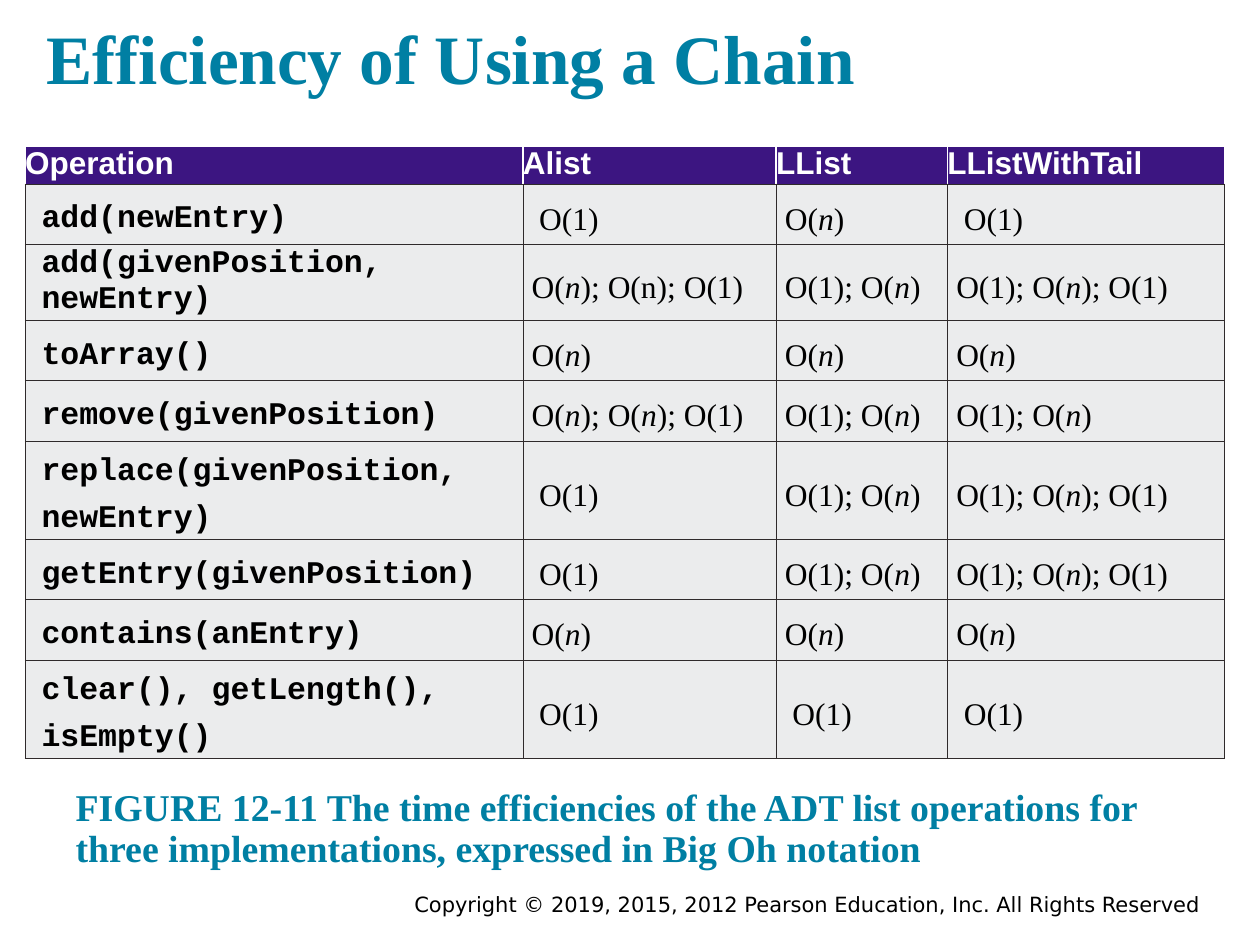
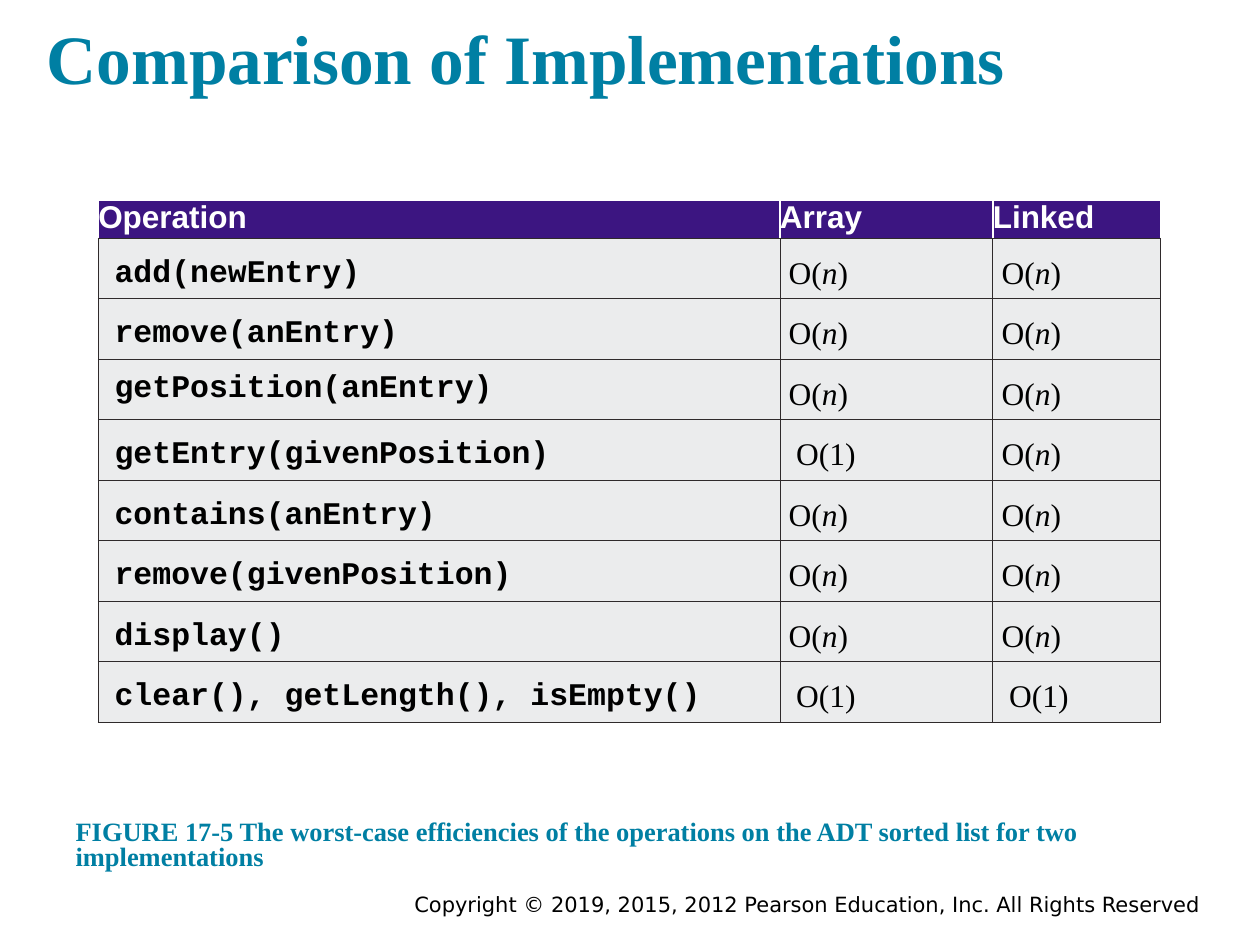
from dataclasses import dataclass

from pptx import Presentation
from pptx.dml.color import RGBColor
from pptx.enum.text import MSO_ANCHOR as Anchor, MSO_AUTO_SIZE as AutoSize, PP_ALIGN as Align
from pptx.oxml.ns import qn
from pptx.slide import Slide
from pptx.util import Inches, Pt
from lxml.etree import SubElement

TEAL = RGBColor(0x00, 0x7F, 0xA3)
PURPLE = RGBColor(0x3C, 0x15, 0x81)
GREY = RGBColor(0xEB, 0xEC, 0xED)
RULE = RGBColor(0x2F, 0x2A, 0x2B)
WHITE = RGBColor(0xFF, 0xFF, 0xFF)
BLACK = RGBColor(0x00, 0x00, 0x00)

SERIF, SANS, CODE, FOOTER = "Times New Roman", "Arial", "Courier New", "DejaVu Sans"
SLIDE_W, SLIDE_H = Inches(10), Inches(7.5)
GRID_COLUMNS = 100
HEADER_ROWS, BODY_ROWS = 2.8, 4.8
COPYRIGHT = "Copyright © 2019, 2015, 2012 Pearson Education, Inc. All Rights Reserved"


@dataclass(frozen=True)
class Box:
    left: float
    top: float
    width: float
    height: float


@dataclass(frozen=True)
class Operation:
    name: str
    costs: tuple[str, ...]
    spacing: float = 1.3


@dataclass(frozen=True)
class Caption:
    text: str
    box: Box
    size: float
    spacing: float


@dataclass(frozen=True)
class EfficiencySlide:
    title: str
    caption: Caption
    left: float
    top: float
    columns: tuple[float, ...]
    headers: tuple[str, ...]
    operations: tuple[Operation, ...]


TITLE_BOX = Box(2.7, 0, 93.1, 8.8)
FOOTER_BOX = Box(17.5, 70.3, 78.3, 3.1)

CONST = "O(1)"
LINEAR = "O(*n*)"
EITHER = "O(1); O(*n*)"
ENDS = "O(1); O(*n*); O(1)"

SLIDES = (
    EfficiencySlide(
        "Efficiency of Using a Chain",
        Caption("FIGURE 12-11 The time efficiencies of the ADT list operations for "
                "three implementations, expressed in Big Oh notation",
                Box(5, 61.3, 93.1, 8.8), 21.6, 0.9),
        2, 11.6, (39.5, 20.1, 13.6, 22),
        ("Operation", "Alist", "LList", "LListWithTail"),
        (
            Operation("add(newEntry)", (CONST, LINEAR, CONST)),
            Operation("add(givenPosition, newEntry)",
                      ("O(*n*); O(n); O(1)", EITHER, ENDS), spacing=1),
            Operation("toArray()", (LINEAR, LINEAR, LINEAR)),
            Operation("remove(givenPosition)", ("O(*n*); O(*n*); O(1)", EITHER, EITHER)),
            Operation("replace(givenPosition, newEntry)", (CONST, EITHER, ENDS)),
            Operation("getEntry(givenPosition)", (CONST, EITHER, ENDS)),
            Operation("contains(anEntry)", (LINEAR, LINEAR, LINEAR)),
            Operation("clear(), getLength(), isEmpty()", (CONST, CONST, CONST)),
        ),
    ),
    EfficiencySlide(
        "Comparison of Implementations",
        Caption("FIGURE 17-5 The worst-case efficiencies of the operations on the "
                "ADT sorted list for two implementations",
                Box(5, 63.8, 90, 6.4), 15.1, 0.8),
        7.8, 15.9, (54.1, 16.9, 13.3),
        ("Operation", "Array", "Linked"),
        (
            Operation("add(newEntry)", (LINEAR, LINEAR)),
            Operation("remove(anEntry)", (LINEAR, LINEAR)),
            Operation("getPosition(anEntry)", (LINEAR, LINEAR), spacing=1),
            Operation("getEntry(givenPosition)", (CONST, LINEAR)),
            Operation("contains(anEntry)", (LINEAR, LINEAR)),
            Operation("remove(givenPosition)", (LINEAR, LINEAR)),
            Operation("display()", (LINEAR, LINEAR)),
            Operation("clear(), getLength(), isEmpty()", (CONST, CONST)),
        ),
    ),
)


def grid(n: float) -> int:
    return round(n * SLIDE_W / GRID_COLUMNS)


def write(tf, text: str, *, font: str, size: float, color: RGBColor, bold: bool = False,
          align=Align.LEFT, spacing: float = 1, indent: float = 0) -> None:
    p = tf.paragraphs[0]
    pPr = p._p.get_or_add_pPr()
    pPr.set("marL", str(grid(indent)))
    pPr.set("indent", "0")
    SubElement(pPr, qn("a:buNone"))
    p.alignment, p.line_spacing, p.space_before = align, spacing, Pt(0)
    for i, part in enumerate(text.split("*")):
        r = p.add_run()
        r.text = part
        r.font.name, r.font.size, r.font.bold = font, Pt(size), bold
        r.font.italic = i % 2 == 1
        r.font.color.rgb = color


def place(sp, box: Box, margin: float, anchor, auto_size):
    sp.left, sp.top = grid(box.left), grid(box.top)
    sp.width, sp.height = grid(box.width), grid(box.height)
    tf = sp.text_frame
    tf.word_wrap, tf.auto_size, tf.vertical_anchor = True, auto_size, anchor
    tf.margin_left = tf.margin_right = tf.margin_top = tf.margin_bottom = grid(margin)
    return tf


def set_borders(cell, top_sides: RGBColor, width: float) -> None:
    tcPr = cell._tc.get_or_add_tcPr()
    for side in "LRTB":
        color, points = (RULE, 0.5) if side == "B" else (top_sides, width)
        ln = SubElement(tcPr, qn(f"a:ln{side}"), w=str(Pt(points)))
        fill = SubElement(ln, qn("a:solidFill"))
        SubElement(fill, qn("a:srgbClr"), val=str(color))


def style_cell(cell, fill: RGBColor, margin: float, anchor, line: RGBColor, width: float) -> None:
    cell.margin_left = cell.margin_right = grid(margin)
    cell.margin_top = cell.margin_bottom = 0
    cell.vertical_anchor = anchor
    set_borders(cell, line, width)
    cell.fill.solid()
    cell.fill.fore_color.rgb = fill


def add_efficiency_table(s: Slide, data: EfficiencySlide) -> None:
    count = len(data.operations)
    table = s.shapes.add_table(
        count + 1, len(data.columns), grid(data.left), grid(data.top),
        grid(sum(data.columns)), grid(HEADER_ROWS + count * BODY_ROWS)).table
    table.first_row = table.horz_banding = False
    for column, width in zip(table.columns, data.columns):
        column.width = grid(width)
    for i, row in enumerate(table.rows):
        row.height = grid(BODY_ROWS if i else HEADER_ROWS)

    for cell, header in zip(table.rows[0].cells, data.headers):
        style_cell(cell, PURPLE, 0, Anchor.TOP, WHITE, 1)
        write(cell.text_frame, header, font=SANS, size=18, color=WHITE, bold=True)
    for i, op in enumerate(data.operations, 1):
        for j, text in enumerate((op.name, *op.costs)):
            cell, is_name = table.cell(i, j), j == 0
            style_cell(cell, GREY, 0.7, Anchor.MIDDLE, RULE, 0.5)
            write(cell.text_frame, text, font=CODE if is_name else SERIF, size=18,
                  color=BLACK, bold=is_name, spacing=op.spacing if is_name else 1.3,
                  indent=0.6 if is_name or text == CONST else 0)


def add_efficiency_slide(prs, data: EfficiencySlide) -> None:
    s = prs.slides.add_slide(prs.slide_layouts[1])
    footer = s.shapes.add_textbox(0, 0, 0, 0)
    tf = place(footer, FOOTER_BOX, 0.5, Anchor.TOP, AutoSize.SHAPE_TO_FIT_TEXT)
    write(tf, COPYRIGHT, font=FOOTER, size=12, color=BLACK, align=Align.RIGHT)

    tf = place(s.shapes.title, TITLE_BOX, 1, Anchor.BOTTOM, AutoSize.NONE)
    write(tf, data.title, font=SERIF, size=39.6, color=TEAL, bold=True)

    caption = data.caption
    tf = place(s.placeholders[1], caption.box, 1, Anchor.BOTTOM, AutoSize.NONE)
    write(tf, caption.text, font=SERIF, size=caption.size, color=TEAL, bold=True,
          spacing=caption.spacing)
    add_efficiency_table(s, data)


def main() -> None:
    prs = Presentation()
    prs.slide_width, prs.slide_height = SLIDE_W, SLIDE_H
    for data in SLIDES:
        add_efficiency_slide(prs, data)
    prs.save("out.pptx")


if __name__ == "__main__":
    main()
